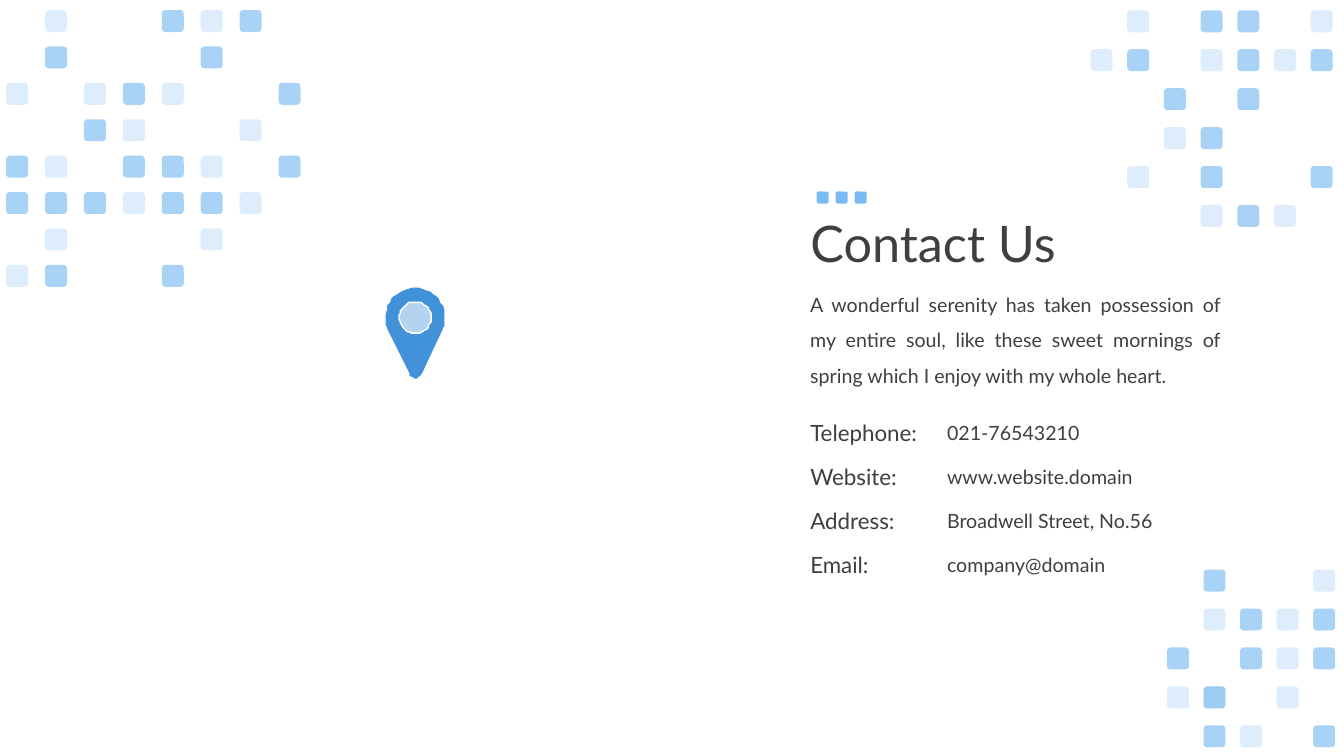
from dataclasses import dataclass
from math import cos, pi, sin

from lxml import etree
from pptx import Presentation
from pptx.dml.color import RGBColor
from pptx.enum.shapes import MSO_SHAPE
from pptx.enum.text import MSO_ANCHOR, MSO_AUTO_SIZE, PP_ALIGN
from pptx.oxml.ns import qn
from pptx.util import Pt

ROUNDED = MSO_SHAPE.ROUNDED_RECTANGLE
OVAL = MSO_SHAPE.OVAL
LEFT, JUSTIFY = PP_ALIGN.LEFT, PP_ALIGN.JUSTIFY
TOP, MIDDLE = MSO_ANCHOR.TOP, MSO_ANCHOR.MIDDLE
FIT_SHAPE, NO_FIT = MSO_AUTO_SIZE.SHAPE_TO_FIT_TEXT, MSO_AUTO_SIZE.NONE
TITLE_ONLY = 5


@dataclass(frozen=True)
class Theme:
    font: str = "Lato"
    text: str = "3F3F3F"
    tile: str = "7ABAF2"
    pin: str = "4192D9"
    pin_center: str = "B3D3F0"
    white: str = "FFFFFF"
    title_size: int = 36
    label_size: int = 16
    body_size: int = 14


# Opacity layers of each letter in a tile pattern, in percent
TILE_LAYERS = {".": (), "L": (25,), "D": (65,), "B": (65, 25)}
TILE_SIZE = 15.7

# Left, top, column step, row step, rows
TILE_PATTERNS = [
    (4.4, 7.2, 27.8, 26, [".L..DLD.", ".D...D..", "L.LDL..D", "..DL..L.",
                          "DL.DDL.D", "DDDLDDL.", ".L...L..", "LD..D..."]),
    (779, 7.4, 26.2, 27.8, [".L.DD.L", "LD.LDLD", "..D.D..",
                            "..LD...", ".L.D..D", "...LDL."]),
    (833.6, 406.9, 26.1, 27.8, [".D..L", ".LDLD", "D.DLD", "LB.L.", ".DL.D"]),
]

CONTACTS = [
    ("Telephone:", "021-76543210"),
    ("Website:", "www.website.domain"),
    ("Address:", "Broadwell Street, No.56"),
    ("Email:", "company@domain"),
]

# Right half of the pin as Bezier curves around the centre of its head
PIN_CURVES = [
    ((0, -21.6), (12.2, -21.6), (21.8, -12.2), (21.8, 0)),
    ((21.8, 0), (21.8, 2.2), (21.8, 5.8), (20.3, 7.9)),
    ((5, 40.3), (4, 43.2), (2.2, 43.9), (0, 43.9)),
]


def write_text(shape, text, *, size, color, font, align=LEFT, spacing=1.0,
               anchor=TOP, auto_size=FIT_SHAPE):
    frame = shape.text_frame
    frame.word_wrap = True
    frame.auto_size = auto_size
    frame.vertical_anchor = anchor
    paragraph = frame.paragraphs[0]
    paragraph.text = text
    paragraph.alignment = align
    paragraph.line_spacing = spacing
    paragraph.font.name = font
    paragraph.font.size = Pt(size)
    paragraph.font.color.rgb = RGBColor.from_string(color)


def bezier_points(curve, steps=12):
    for step in range(steps + 1):
        t = step / steps
        weights = ((1 - t) ** 3, 3 * t * (1 - t) ** 2, 3 * t * t * (1 - t), t ** 3)
        yield tuple(sum(weight * point[axis] for weight, point in zip(weights, curve))
                    for axis in (0, 1))


class SlideBuilder:
    def __init__(self, slide, theme):
        self.slide = slide
        self.theme = theme

    def group(self):
        return self.slide.shapes.add_group_shape().shapes

    def paint(self, shape, color, opacity=100, line=None):
        shape.shadow.inherit = False
        shape.fill.solid()
        shape.fill.fore_color.rgb = RGBColor.from_string(color)
        if opacity < 100:
            color_element = shape.fill._xPr.find(qn("a:solidFill"))[0]
            alpha = etree.SubElement(color_element, qn("a:alpha"))
            alpha.set("val", str(opacity * 1000))
        if line:
            shape.line.color.rgb = RGBColor.from_string(line)
            shape.line.width = Pt(1)
        else:
            shape.line.fill.background()

    def square(self, shapes, kind, left, top, size, color, **style):
        shape = shapes.add_shape(kind, Pt(left), Pt(top), Pt(size), Pt(size))
        self.paint(shape, color, **style)

    def tiles(self, left, top, column_step, row_step, rows):
        shapes = self.group()
        for row, letters in enumerate(rows):
            for column, letter in enumerate(letters):
                for opacity in TILE_LAYERS[letter]:
                    self.square(shapes, ROUNDED, left + column * column_step,
                                top + row * row_step, TILE_SIZE,
                                self.theme.tile, opacity=opacity)

    def title(self, text, left, top, width, height):
        title = self.slide.shapes.title
        title.left, title.top = Pt(left), Pt(top)
        title.width, title.height = Pt(width), Pt(height)
        write_text(title, text, size=self.theme.title_size, color=self.theme.text,
                   font=self.theme.font, spacing=0.9, anchor=MIDDLE, auto_size=NO_FIT)

    def text(self, text, left, top, width, height, size, **style):
        box = self.slide.shapes.add_textbox(Pt(left), Pt(top), Pt(width), Pt(height))
        write_text(box, text, size=size, color=self.theme.text,
                   font=self.theme.font, **style)

    def pin(self, center_x, center_y, hole_radius=11.3, center_size=25.2):
        shapes = self.group()
        self.square(shapes, OVAL, center_x - center_size / 2, center_y - center_size / 2,
                    center_size, self.theme.pin_center, line=self.theme.white)
        right = [point for curve in PIN_CURVES for point in bezier_points(curve)]
        outline = right + [(-x, y) for x, y in reversed(right)]
        angles = [2 * pi * step / 48 for step in range(48)]
        hole = [(hole_radius * cos(angle), hole_radius * sin(angle)) for angle in angles]
        outline, hole = [[(center_x + x, center_y + y) for x, y in points]
                         for points in (outline, hole)]
        builder = shapes.build_freeform(*outline[0], scale=Pt(1))
        builder.add_line_segments(outline[1:], close=True)
        builder.move_to(*hole[0])
        builder.add_line_segments(hole[1:], close=True)
        self.paint(builder.convert_to_shape(), self.theme.pin, line=self.theme.white)


def main():
    presentation = Presentation()
    presentation.slide_width, presentation.slide_height = Pt(960), Pt(540)
    slide = presentation.slides.add_slide(presentation.slide_layouts[TITLE_ONLY])
    theme = Theme()
    builder = SlideBuilder(slide, theme)

    # Corner tiles
    for pattern in TILE_PATTERNS:
        builder.tiles(*pattern)

    # Title and introduction
    builder.title("Contact Us", 571.7, 123.8, 388, 104.4)
    builder.text("A wonderful serenity has taken possession of my entire soul, like these "
                 "sweet mornings of spring which I enjoy with my whole heart.",
                 571.7, 197.3, 307.4, 79.9, theme.body_size, align=JUSTIFY, spacing=1.5)

    # Contact details
    for row, (label, value) in enumerate(CONTACTS):
        offset = row * 31.5
        builder.text(label, 571.7, 295.9 + offset, 149.8, 26.6, theme.label_size)
        builder.text(value, 669.4, 296.9 + offset, 185, 24.2, theme.body_size)

    # Map pin
    builder.pin(296.6, 226.8)

    # Accent squares above the title
    accents = builder.group()
    for column in range(3):
        builder.square(accents, ROUNDED, 583.3 + column * 13.6, 136.8, 8.6, theme.tile)

    presentation.save("out.pptx")


if __name__ == "__main__":
    main()
